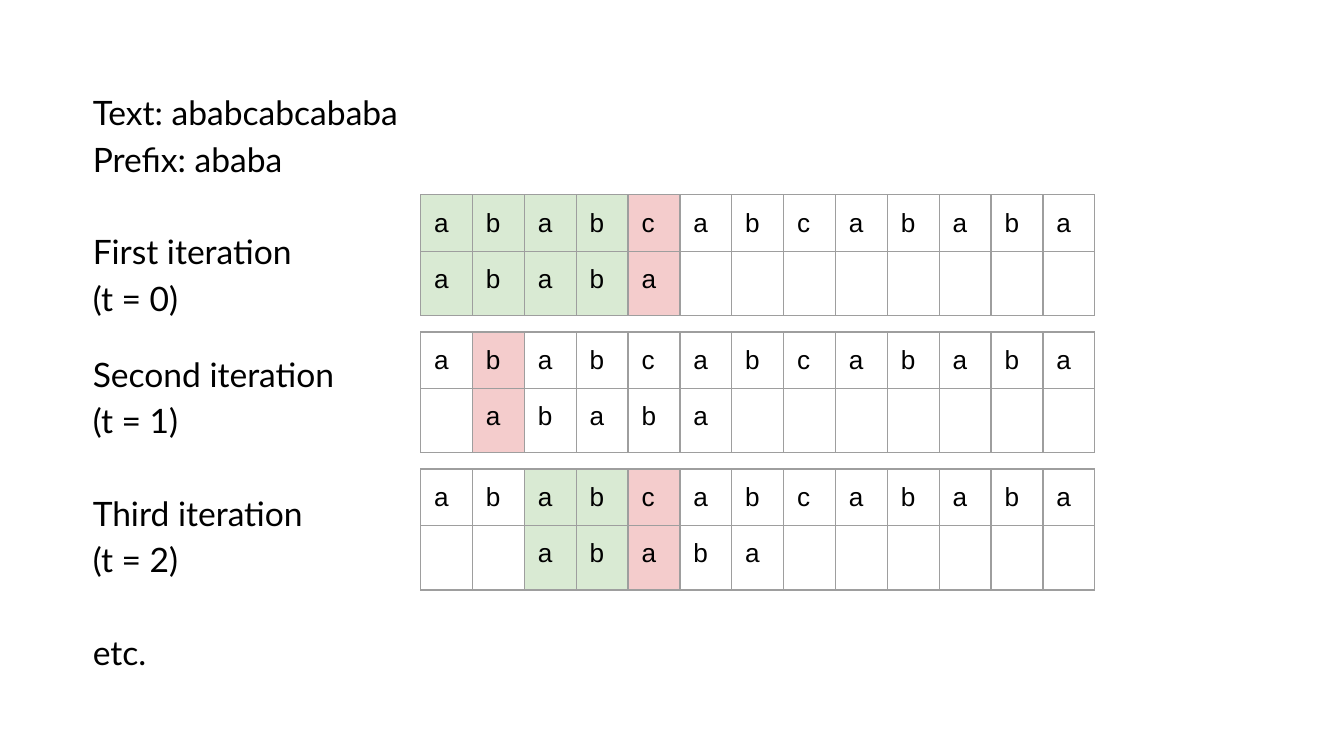
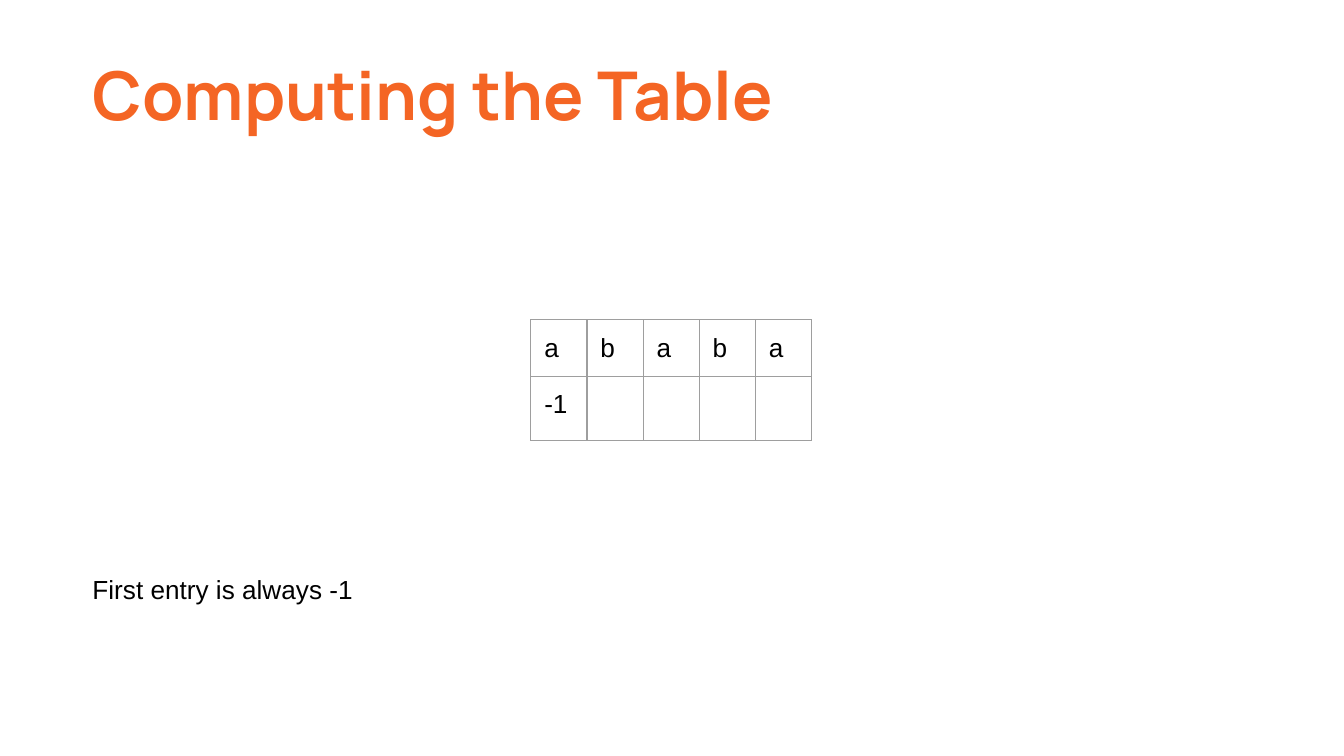
from dataclasses import dataclass

from lxml import etree
from pptx import Presentation
from pptx.dml.color import RGBColor
from pptx.enum.text import MSO_ANCHOR, MSO_AUTO_SIZE, PP_ALIGN
from pptx.oxml.ns import qn
from pptx.util import Inches, Pt

LEFT = PP_ALIGN.LEFT
TOP = MSO_ANCHOR.TOP
NO_FIT = MSO_AUTO_SIZE.NONE
TITLE_ONLY = 5


@dataclass(frozen=True)
class Theme:
    text: str = "000000"
    title: str = "F46524"
    match: str = "D9EAD3"
    mismatch: str = "F4CCCC"
    border: str = "9E9E9E"
    body_font: str = "Arial"
    list_font: str = "Lato"
    title_font: str = "Manrope"
    body_size: int = 14
    list_size: int = 18
    title_size: int = 36
    border_width: float = 0.75
    inset: float = 0.1
    margin: float = 0.59
    width: float = 8.8


class Deck:
    def __init__(self, theme):
        self.theme = theme
        self.prs = Presentation()
        self.prs.slide_width = Inches(10)
        self.prs.slide_height = Inches(10 * 9 / 16)
        self.s = None

    def add_slide(self):
        self.s = self.prs.slides.add_slide(self.prs.slide_layouts[TITLE_ONLY])

    def add_run(self, p, text, font, size, color, bold=False):
        r = p.add_run()
        r.text = text
        r.font.name = font
        r.font.size = Pt(size)
        r.font.bold = bold
        r.font.color.rgb = RGBColor.from_string(color)

    def frame(self, sp):
        tf = sp.text_frame
        tf.word_wrap = True
        tf.auto_size = NO_FIT
        tf.vertical_anchor = TOP
        inset = Inches(self.theme.inset)
        tf.margin_left = tf.margin_right = tf.margin_top = tf.margin_bottom = inset
        return tf

    def place_title(self, top, height):
        sp = self.s.shapes.title
        sp.left, sp.top = Inches(self.theme.margin), Inches(top)
        sp.width, sp.height = Inches(self.theme.width), Inches(height)
        return self.frame(sp)

    def title(self, text):
        t = self.theme
        p = self.place_title(0.3, 0.84).paragraphs[0]
        p.alignment = LEFT
        self.add_run(p, text, t.title_font, t.title_size, t.title, True)

    def title_list(self, groups):
        t = self.theme
        tf = self.place_title(0.54, 4.43)
        for i, (gap, lines) in enumerate(groups):
            p = tf.add_paragraph() if i else tf.paragraphs[0]
            p.alignment = LEFT
            p.line_spacing = 1.15
            p.space_before = Pt(gap)
            for j, line in enumerate(lines):
                if j:
                    p.add_line_break()
                self.add_run(p, line, t.list_font, t.list_size, t.text)

    def text(self, text, top, height):
        t = self.theme
        sp = self.s.shapes.add_textbox(
            Inches(t.margin), Inches(top), Inches(t.width), Inches(height))
        p = self.frame(sp).paragraphs[0]
        self.add_run(p, text, t.body_font, t.body_size, t.text)

    def cell(self, cell, text, fill):
        t = self.theme
        inset = Inches(t.inset)
        cell.margin_left = cell.margin_right = inset
        cell.margin_top = cell.margin_bottom = inset
        p = cell.text_frame.paragraphs[0]
        if text:
            self.add_run(p, text, t.body_font, t.body_size, t.text)
        else:
            etree.SubElement(p._p, qn("a:endParaRPr"), sz=str(t.body_size * 100))
        tc_pr = cell._tc.get_or_add_tcPr()
        for side in ("a:lnL", "a:lnR", "a:lnT", "a:lnB"):
            ln = etree.SubElement(tc_pr, qn(side), w=str(Pt(t.border_width)))
            solid = etree.SubElement(ln, qn("a:solidFill"))
            etree.SubElement(solid, qn("a:srgbClr"), val=t.border)
        if fill:
            cell.fill.solid()
            cell.fill.fore_color.rgb = RGBColor.from_string(fill)
        else:
            cell.fill.background()

    def table(self, rows, left, top, width, fills=None):
        fills = fills or {}
        heights = (0.42, 0.48)
        n = len(rows[0])
        table = self.s.shapes.add_table(
            len(rows), n, Inches(left), Inches(top),
            Inches(width), Inches(sum(heights))).table
        table.first_row = False
        table.horz_banding = False
        for col in table.columns:
            col.width = Inches(width / n)
        for i, row in enumerate(rows):
            table.rows[i].height = Inches(heights[i])
            for j, text in enumerate(row):
                self.cell(table.cell(i, j), text, fills.get(j))

    def alignment(self, text, prefix, shift, top):
        row = [""] * len(text)
        row[shift:shift + len(prefix)] = prefix
        fills = {}
        for j in range(shift, shift + len(prefix)):
            if text[j] != row[j]:
                fills[j] = self.theme.mismatch
                break
            fills[j] = self.theme.match
        self.table([list(text), row], 3.13, top, 5.02, fills)


def main():
    text, prefix = "ababcabcababa", "ababa"
    deck = Deck(Theme())

    deck.add_slide()
    line_gap, paragraph_gap = 24.84, 16
    deck.title_list([
        (0, [f"Text: {text}", f"Prefix: {prefix}"]),
        (line_gap, ["First iteration", "(t = 0)"]),
        (paragraph_gap, ["Second iteration", "(t = 1)"]),
        (line_gap, ["Third iteration", "(t = 2)"]),
        (line_gap, ["etc."]),
    ])
    for shift in range(3):
        deck.alignment(text, prefix, shift, 1.45 + 1.02 * shift)

    deck.add_slide()
    deck.title("Computing the Table")
    deck.table([list(prefix), ["-1"] + [""] * 4], 3.95, 2.38, 2.09)
    deck.text("First entry is always -1", 4.17, 1.07)

    deck.prs.save("out.pptx")


if __name__ == "__main__":
    main()
